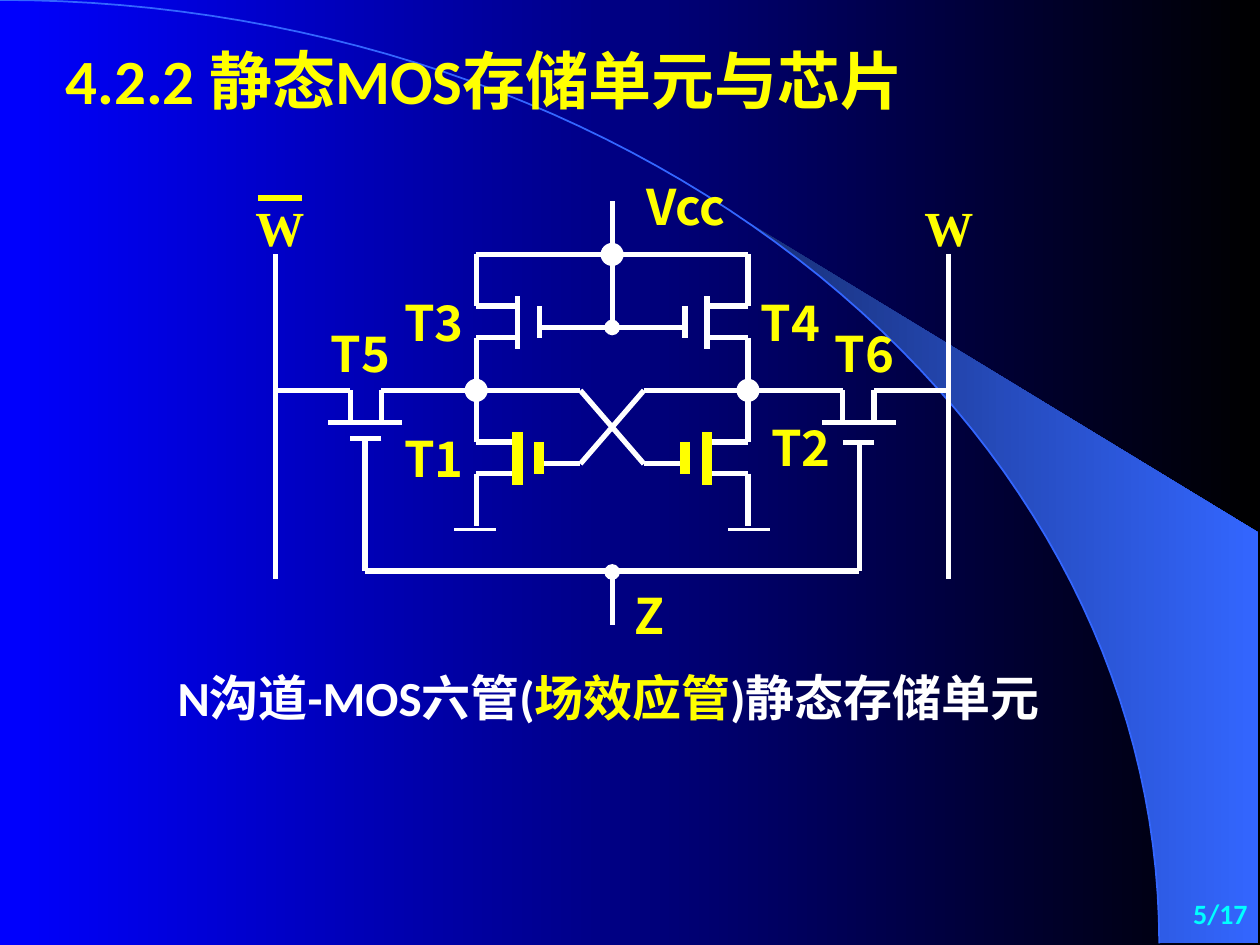
import math
import pptx
import pptx.util
import pptx.dml.color
import pptx.enum.shapes
import pptx.enum.text
import pptx.oxml.ns
import lxml.etree

Cm, Pt = pptx.util.Cm, pptx.util.Pt
RGB = pptx.dml.color.RGBColor.from_string
qn = pptx.oxml.ns.qn
ALIGN = pptx.enum.text.PP_ALIGN
HUES = {"white": "FFFFFF", "yellow": "FFFF00", "cyan": "00FFFF", "blue": "0000FF",
        "black": "000000", "navy": "182F76", "sky": "3366FF"}
SANS, BODY, SERIF = "Noto Sans CJK SC", "Calibri", "Times New Roman"

deck = pptx.Presentation()
deck.slide_width, deck.slide_height = Cm(25.4), Cm(19.05)
slide = deck.slides.add_slide(deck.slide_layouts[6])
shapes = slide.shapes


def wire(x1, y1, x2, y2, hue="white", width=3, dot=None):
    """Draw a straight line; dot is "headEnd" or "tailEnd" for a round end."""
    line = shapes.add_connector(pptx.enum.shapes.MSO_CONNECTOR.STRAIGHT,
                                Cm(x1), Cm(y1), Cm(x2), Cm(y2))
    line.line.color.rgb = RGB(HUES[hue])
    line.line.width = Pt(width)
    props = line._element.spPr
    if dot:
        lxml.etree.SubElement(props.find(qn("a:ln")), qn("a:" + dot), type="oval")
    lxml.etree.SubElement(props, qn("a:effectLst"))


def label(runs, left, top, width, height, font=SANS, size=28, align=ALIGN.LEFT, before=17.5):
    """Add a bold text box from (text, hue) runs."""
    frame = shapes.add_textbox(Cm(left), Cm(top), Cm(width), Cm(height)).text_frame
    frame.word_wrap = True
    para = frame.paragraphs[0]
    para.alignment = align
    para.space_before = Pt(before)
    para.font.name, para.font.size, para.font.bold = font, Pt(size), True
    para.font.color.rgb = RGB(HUES[runs[0][1]])
    for text, hue in runs:
        run = para.add_run()
        run.text = text
        if len(runs) > 1:
            run.font.color.rgb = RGB(HUES[hue])
    return frame


# Backdrop: a quarter ellipse and the swoosh between it and the right edge
wide, high = 23.37, 19.02
start = math.asin(0.64)
arc = [[(Cm(wide * math.sin(t)), Cm(high * (1 - math.cos(t))))
        for t in (low + (math.pi / 2 - low) * i / 60 for i in range(61))]
       for low in (start, 0)]
corner = [(Cm(25.37), Cm(19.02)), (Cm(25.37), Cm(10.74))]
forms = []
for points, closed in ((arc[0] + corner, True), (arc[1], False)):
    build = shapes.build_freeform(*points[0])
    build.add_line_segments(points[1:], close=closed)
    form = build.convert_to_shape()
    form.shadow.inherit = False
    forms.append(form)
swoosh, curve = forms
swoosh.line.fill.background()
curve.fill.background()
curve.line.color.rgb = RGB(HUES["sky"])
curve.line.width = Pt(1)

for fill, ends in ((slide.background.fill, ("blue", "black")), (swoosh.fill, ("navy", "sky"))):
    fill.gradient()
    fill.gradient_angle = 0
    for stop, hue, place in zip(fill.gradient_stops, ends, (0, 1)):
        stop.color.rgb = RGB(HUES[hue])
        stop.position = place

# Circuit, mirrored about the middle: x is the distance from mid
mid, rail, step = 12.34, 5.13, 2.74
node = rail + step
for side, gate in ((-1, 8.84), (1, 8.92)):
    for top, hue, width in ((rail, "white", 3), (node, "yellow", 6)):
        for x1, y1, x2, y2 in ((2.74, 0, 2.74, 1.04), (2.74, 1.04, 1.91, 1.04),
                               (2.74, 1.68, 1.91, 1.68), (2.74, 1.68, 2.74, 2.74),
                               (1.47, 1.47, 0.64, 1.47)):
            wire(mid + side * x1, top + y1, mid + side * x2, top + y2)
        for x, y1, y2 in ((1.91, 0.84, 1.91), (1.47, 1.04, 1.68)):
            wire(mid + side * x, top + y1, mid + side * x, top + y2, hue, width)
    for x1, y1, x2, y2 in ((2.74, node, 4.65, node), (4.65, node, 4.65, 8.51),
                           (5.28, node, 5.28, 8.51), (4.24, 8.51, 5.72, 8.51),
                           (5.28, node, 6.78, node), (4.65, gate, 5.28, gate),
                           (4.98, gate, 4.98, 11.51), (6.78, rail, 6.78, 11.68),
                           (2.74, node, 0.64, node), (0.64, node, -0.64, 9.35)):
        wire(mid + side * x1, y1, mid + side * x2, y2)
    wire(mid + side * 3.18, 10.67, mid + side * 2.34, 10.67, width=1.5)

wire(mid - 2.74, rail, mid + 2.74, rail)
wire(mid - 0.64, 6.6, mid + 0.64, 6.6)
wire(mid - 4.98, 11.51, mid + 4.98, 11.51)
wire(mid, 4.06, mid, 6.6, dot="tailEnd")
wire(mid, 11.53, mid, 12.6, dot="headEnd")
wire(5.2, 3.99, 6.08, 3.99, "yellow")

size = 0.43
for x, y in ((mid, rail), (mid - 2.74, node), (mid + 2.74, node)):
    dot = shapes.add_shape(pptx.enum.shapes.MSO_SHAPE.OVAL, Cm(x - size / 2),
                           Cm(y - size / 2), Cm(size), Cm(size))
    dot.shadow.inherit = False
    dot.fill.solid()
    dot.fill.fore_color.rgb = dot.line.color.rgb = RGB(HUES["white"])
    dot.line.width = Pt(1)

for text, left, top, width in (("Vcc", 12.78, 3.43, 3.6), ("T3", 7.9, 5.77, 2.1),
                               ("T1", 7.9, 8.51, 2.1), ("T4", 15.09, 5.77, 2.1),
                               ("T2", 15.3, 8.3, 2.1), ("T5", 6.42, 6.4, 2.34),
                               ("T6", 16.58, 6.4, 2.34), ("Z", 12.55, 11.68, 1.07)):
    label([(text, "yellow")], left, top, width, 1.45)
label([("W", "yellow")], 4.9, 3.86, 1.27, 1.45, SERIF)
label([("W", "yellow")], 17.86, 3.86, 2.54, 1.45, SERIF, align=ALIGN.CENTER)

label([("4.2.2 静态MOS存储单元与芯片", "yellow")], 1.07, 0.71, 20.24, 1.78, BODY, 36, before=22.5)
label([("N沟道-MOS六管(", "white"), ("场效应管", "yellow"), (")静态存储单元", "white")],
      3.33, 13.34, 18.01, 2.64, BODY)
page = label([("5/17", "cyan")], 22.3, 17.78, 3.1, 1.27, BODY, 16, ALIGN.RIGHT, 0)
page.vertical_anchor = pptx.enum.text.MSO_ANCHOR.MIDDLE

deck.save("out.pptx")
